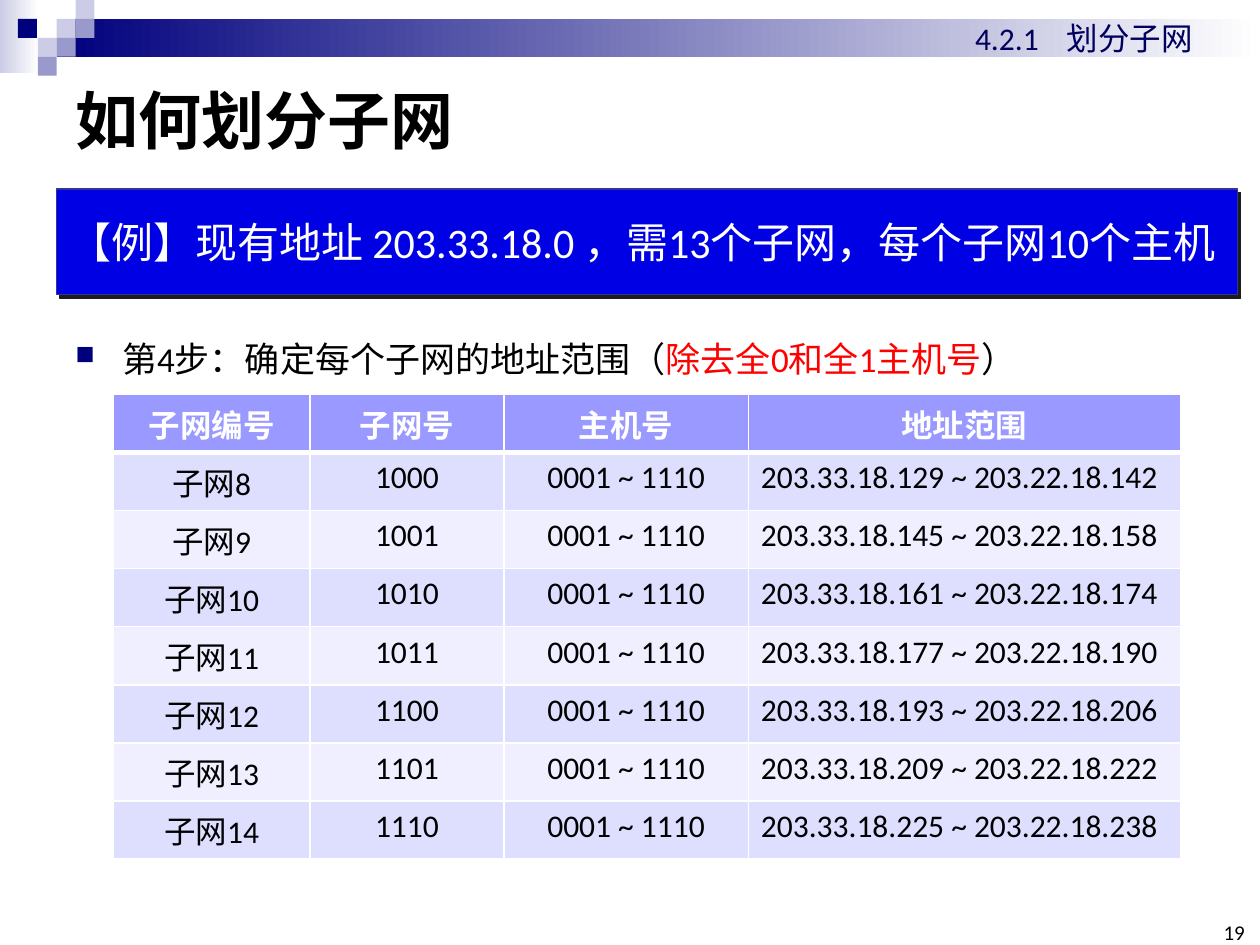
from lxml import etree
from pptx import Presentation
from pptx.dml.color import RGBColor
from pptx.enum.shapes import MSO_SHAPE
from pptx.enum.text import MSO_ANCHOR, PP_ALIGN
from pptx.oxml.ns import qn
from pptx.util import Inches, Pt

RECT = MSO_SHAPE.RECTANGLE
TOP, MIDDLE, BOTTOM = MSO_ANCHOR.TOP, MSO_ANCHOR.MIDDLE, MSO_ANCHOR.BOTTOM
LEFT, CENTER, RIGHT = PP_ALIGN.LEFT, PP_ALIGN.CENTER, PP_ALIGN.RIGHT
FONT = "Calibri"
COLS, ROWS = 200, 150
CELL = Inches(0.05)
HEX = {"navy": "00007D", "pale": "CCCCE6", "mid": "9999CC", "white": "FFFFFF",
       "black": "000000", "red": "FF0000", "label": "00005E", "banner": "0000E4",
       "edge": "333399", "shade": "1C1C1C", "head": "9999FF",
       "odd": "DEDEFF", "even": "EFEFFF"}


def rgb(name):
    """Return the named colour."""
    return RGBColor.from_string(HEX[name])


def units(*cells):
    """Turn grid cells into lengths."""
    return [round(n * CELL) for n in cells]


def node(parent, tag, **attrs):
    """Append an XML child with attributes."""
    child = etree.SubElement(parent, qn(tag))
    for key, value in attrs.items():
        child.set(key, str(value))
    return child


def style(para, size, color, align=LEFT, bold=False):
    """Set the font and alignment of a paragraph."""
    para.alignment = align
    font = para.font
    font.name, font.size, font.bold = FONT, Pt(size), bold
    font.color.rgb = rgb(color)


def block(slide, box, *colors):
    """Draw a flat or left-to-right graded rectangle."""
    shape = slide.shapes.add_shape(RECT, *units(*box))
    shape.shadow.inherit = False
    shape.line.fill.background()
    if len(colors) == 1:
        shape.fill.solid()
        shape.fill.fore_color.rgb = rgb(colors[0])
    else:
        shape.fill.gradient()
        shape.fill.gradient_angle = 0
        for stop, color in zip(shape.fill.gradient_stops, colors):
            stop.color.rgb = rgb(color)
    return shape


def label(slide, box, text, size, color, align=LEFT, anchor=TOP, bold=False):
    """Place one paragraph of text and return its frame."""
    frame = slide.shapes.add_textbox(*units(*box)).text_frame
    frame.word_wrap = True
    frame.vertical_anchor = anchor
    frame.text = text
    style(frame.paragraphs[0], size, color, align, bold)
    return frame


def header(slide, box):
    """Draw the graded strip, its mosaic and the section label."""
    x, y, w, h = box
    side = h / 4
    block(slide, (x, y, 6.2, h - 0.4), "pale", "white")
    block(slide, (x + 3 * side, y + side, w - 3 * side, 2 * side), "navy", "white")
    tiles = [(3, 1, "pale"), (4, 0, "pale"), (4, 1, "mid"), (2, 2, "pale"),
             (0.95, 1, "navy"), (3, 2, "mid"), (2, 3, "mid")]
    for col, row, color in tiles:
        block(slide, (x + col * side, y + row * side, side, side), color)
    frame = label(slide, (x + w - 47.2, y + 2, 39.4, 8), "4.2.1\t划分子网",
                  18, "label")
    frame.word_wrap = False
    props = frame.paragraphs[0]._p.pPr
    tabs = node(props, "a:tabLst")
    node(tabs, "a:tab", pos=units(14.6)[0], algn="l")
    props.insert(0, tabs)


def banner(slide, box, text):
    """Draw the example statement with a hard shadow."""
    shape = block(slide, box, "banner")
    shape.line.color.rgb = rgb("edge")
    shape.line.width = Pt(0.75)
    effects = shape._element.spPr.find(qn("a:effectLst"))
    shade = node(effects, "a:outerShdw", dist=Pt(2.8), dir=45 * 60000,
                 algn="ctr", rotWithShape=0)
    node(shade, "a:srgbClr", val=HEX["shade"])
    frame = shape.text_frame
    frame.word_wrap = True
    frame.vertical_anchor = MIDDLE
    frame.text = text
    style(frame.paragraphs[0], 24, "white")


def step(slide, box, parts):
    """Place the bulleted step with its coloured parts."""
    para = label(slide, box, "", 20, "black").paragraphs[0]
    para.line_spacing = 1.5
    para.space_before = Pt(12)
    for text, color in parts:
        run = para.add_run()
        run.text = text
        run.font.color.rgb = rgb(color)
    props = para._p.pPr
    props.set("marL", str(Inches(0.37)))
    props.set("indent", str(-Inches(0.37)))
    tint = node(props, "a:buClr")
    node(tint, "a:srgbClr", val=HEX["navy"])
    node(props, "a:buSzPct", val=75000)
    node(props, "a:buChar", char="■")
    props.append(props.find(qn("a:defRPr")))


def border(cell, base):
    """Give a cell white borders with the given bottom width."""
    props = cell._tc.get_or_add_tcPr()
    for side, width in zip("LRTB", (1, 1, 1, base)):
        line = node(props, "a:ln" + side, w=Pt(width))
        node(node(line, "a:solidFill"), "a:srgbClr", val=HEX["white"])


def ranges(slide, box, widths, rows):
    """Build the table of subnet address ranges."""
    table = slide.shapes.add_table(len(rows), len(widths), *units(*box)).table
    for col, width in zip(table.columns, units(*widths)):
        col.width = width
    for r, row in enumerate(rows):
        table.rows[r].height = units(box[3] / len(rows))[0]
        for c, text in enumerate(row):
            cell = table.cell(r, c)
            border(cell, 1 if r else 3)
            cell.fill.solid()
            tint = "odd" if r % 2 else "even"
            cell.fill.fore_color.rgb = rgb(tint if r else "head")
            cell.text = text
            style(cell.text_frame.paragraphs[0], 18, "black" if r else "white",
                  LEFT if r and c == 3 else CENTER, not r)


def subnet(n):
    """Return the table row of subnet n."""
    low = 16 * n
    return (f"子网{n}", f"{n:04b}", "0001 ~ 1110",
            f"203.33.18.{low + 1} ~ 203.22.18.{low + 14}")


def main():
    """Build and save the slide."""
    deck = Presentation()
    deck.slide_width, deck.slide_height = units(COLS, ROWS)
    slide = deck.slides.add_slide(deck.slide_layouts[6])
    header(slide, (0, 0, COLS, 12))
    label(slide, (10, 10, 180, 17.8), "如何划分子网", 36, "black",
          anchor=MIDDLE, bold=True)
    banner(slide, (9, 30, 187.4, 16.8),
           "【例】现有地址 203.33.18.0 ，需13个子网，每个子网10个主机")
    step(slide, (10, 49.2, 183, 10),
         [("第4步：确定每个子网的地址范围（", "black"),
          ("除去全0和全1主机号", "red"), ("）", "black")])
    heads = ("子网编号", "子网号", "主机号", "地址范围")
    ranges(slide, (18, 62.6, 169.4, 73.8), (31.2, 30.8, 38.8, 68.6),
           [heads] + [subnet(n) for n in range(8, 15)])
    page = label(slide, (193, 146.6, 4.6, 3.4), "19", 12, "black", RIGHT, BOTTOM)
    page.margin_left = page.margin_right = page.margin_top = page.margin_bottom = 0
    deck.save("out.pptx")


main()
